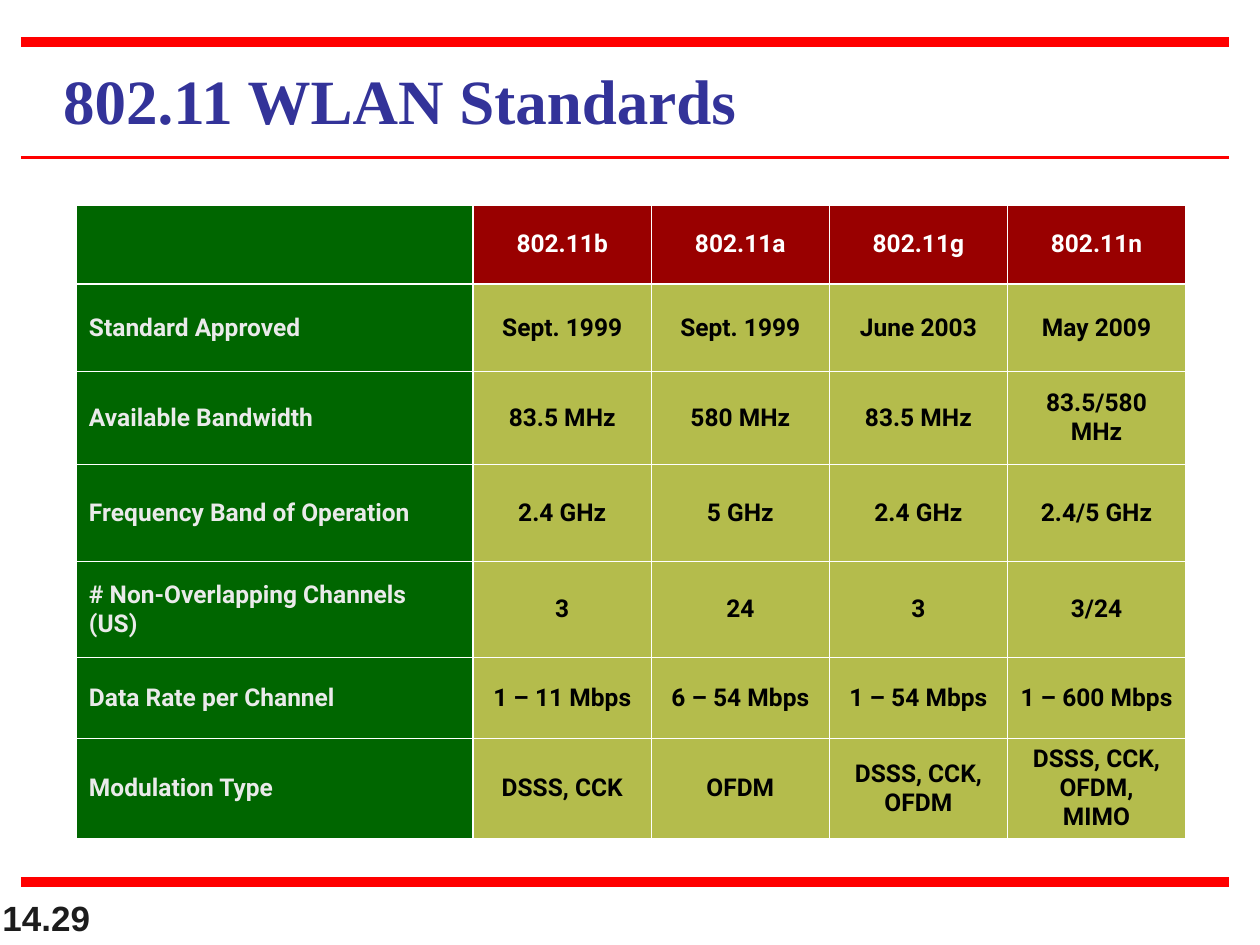
from lxml.etree import SubElement
from pptx import Presentation
from pptx.dml.color import RGBColor
from pptx.enum.shapes import MSO_CONNECTOR
from pptx.enum.text import MSO_ANCHOR, MSO_AUTO_SIZE, PP_ALIGN
from pptx.oxml import parse_xml
from pptx.oxml.ns import nsdecls, qn
from pptx.util import Cm, Pt

STANDARDS = [
    ["", "802.11b", "802.11a", "802.11g", "802.11n"],
    ["Standard Approved", "Sept. 1999", "Sept. 1999", "June 2003", "May 2009"],
    ["Available Bandwidth", "83.5 MHz", "580 MHz", "83.5 MHz", "83.5/580\nMHz"],
    ["Frequency Band of Operation", "2.4 GHz", "5 GHz", "2.4 GHz", "2.4/5 GHz"],
    ["# Non-Overlapping Channels (US)", "3", "24", "3", "3/24"],
    ["Data Rate per Channel", "1 – 11 Mbps", "6 – 54 Mbps", "1 – 54 Mbps",
     "1 – 600 Mbps"],
    ["Modulation Type", "DSSS, CCK", "OFDM", "DSSS, CCK,\nOFDM",
     "DSSS, CCK,\nOFDM,\nMIMO"],
]
COLUMN_WIDTHS = [8.0] + [3.59] * 4
ROW_HEIGHTS = [1.6, 1.76, 1.87, 1.95, 1.94, 1.63, 2.03]


def color(value):
    return RGBColor.from_string(value)


class StandardsSlide:
    RED, WHITE, LABEL_TEXT = "FF0000", "FFFFFF", "EAEAEA"
    LABEL_FILL, HEADER_FILL, VALUE_FILL = "006600", "990000", "B4BC4C"
    THICK, THIN = 1.08, 0.45

    def __init__(self, presentation):
        self.slide = presentation.slides.add_slide(presentation.slide_layouts[5])

    def format_text(self, frame, font_name, size, text_color, align=PP_ALIGN.LEFT):
        for paragraph in frame.paragraphs:
            paragraph.alignment = align
            for run in paragraph.runs:
                run.font.name = font_name
                run.font.size = Pt(size)
                run.font.bold = True
                run.font.color.rgb = color(text_color)

    def fill_frame(self, shape, text, font_name, size, text_color):
        frame = shape.text_frame
        frame.text = text
        frame.word_wrap = True
        frame.auto_size = MSO_AUTO_SIZE.NONE
        frame.vertical_anchor = MSO_ANCHOR.BOTTOM
        self.format_text(frame, font_name, size, text_color)

    def title(self, text, left, top, width, height):
        heading = self.slide.shapes.title
        heading.left, heading.top = Cm(left), Cm(top)
        heading.width, heading.height = Cm(width), Cm(height)
        self.fill_frame(heading, text, "Times New Roman", 36, "333399")

    def page_number(self, text, left, top, width, height):
        number = self.slide.shapes.add_textbox(
            Cm(left), Cm(top), Cm(width), Cm(height))
        self.fill_frame(number, text, "Arial", 20, "1C1C1C")

    def rule(self, top, weight):
        rule = self.slide.shapes.add_connector(
            MSO_CONNECTOR.STRAIGHT, Cm(0.42), Cm(top), Cm(24.77), Cm(top))
        rule.line.color.rgb = color(self.RED)
        rule.line.width = Pt(weight)
        SubElement(rule._element.spPr, qn("a:effectLst"))

    def borders(self, cell, weights):
        properties = cell._tc.get_or_add_tcPr()
        for index, (side, weight) in enumerate(zip("LRTB", weights)):
            properties.insert(index, parse_xml(
                f'<a:ln{side} {nsdecls("a")} w="{Pt(weight)}"><a:solidFill>'
                f'<a:srgbClr val="{self.WHITE}"/></a:solidFill></a:ln{side}>'))

    def table(self, rows, left, top, widths, heights):
        grid = self.slide.shapes.add_table(
            len(rows), len(widths), Cm(left), Cm(top),
            Cm(sum(widths)), Cm(sum(heights))).table
        for column, width in zip(grid.columns, widths):
            column.width = Cm(width)
        for row, height in zip(grid.rows, heights):
            row.height = Cm(height)
        last_row, last_column = len(rows) - 1, len(widths) - 1
        for r, values in enumerate(rows):
            for c, value in enumerate(values):
                # Label column, header row and value cells
                if c == 0:
                    fill, ink, align = self.LABEL_FILL, self.LABEL_TEXT, PP_ALIGN.LEFT
                elif r == 0:
                    fill, ink, align = self.HEADER_FILL, self.WHITE, PP_ALIGN.CENTER
                else:
                    fill, ink, align = self.VALUE_FILL, "000000", PP_ALIGN.CENTER
                cell = grid.cell(r, c)
                cell.fill.solid()
                cell.fill.fore_color.rgb = color(fill)
                cell.vertical_anchor = MSO_ANCHOR.MIDDLE
                cell.text_frame.text = value
                self.format_text(cell.text_frame, "Roboto", 14, ink, align)
                # Thick frame and header dividers; the empty corner stays thin outside
                corner = r == c == 0
                thick = (c <= 1 and not corner, c in (0, last_column),
                         r <= 1 and not corner, r in (0, last_row))
                self.borders(cell, [self.THICK if t else self.THIN for t in thick])


def main():
    presentation = Presentation()
    presentation.slide_width, presentation.slide_height = Cm(25.4), Cm(19.05)
    page = StandardsSlide(presentation)

    # Heading
    page.title("802.11 WLAN Standards", 1.02, 1.17, 22.86, 1.73)

    # Comparison of the standards
    page.table(STANDARDS, 1.54, 4.13, COLUMN_WIDTHS, ROW_HEIGHTS)

    # Red rules
    for top, weight in [(0.85, 6), (3.18, 1.5), (17.78, 6)]:
        page.rule(top, weight)

    # Page number
    page.page_number("14.29", -0.2, 17.78, 5.28, 1.27)

    presentation.save("out.pptx")


if __name__ == "__main__":
    main()
